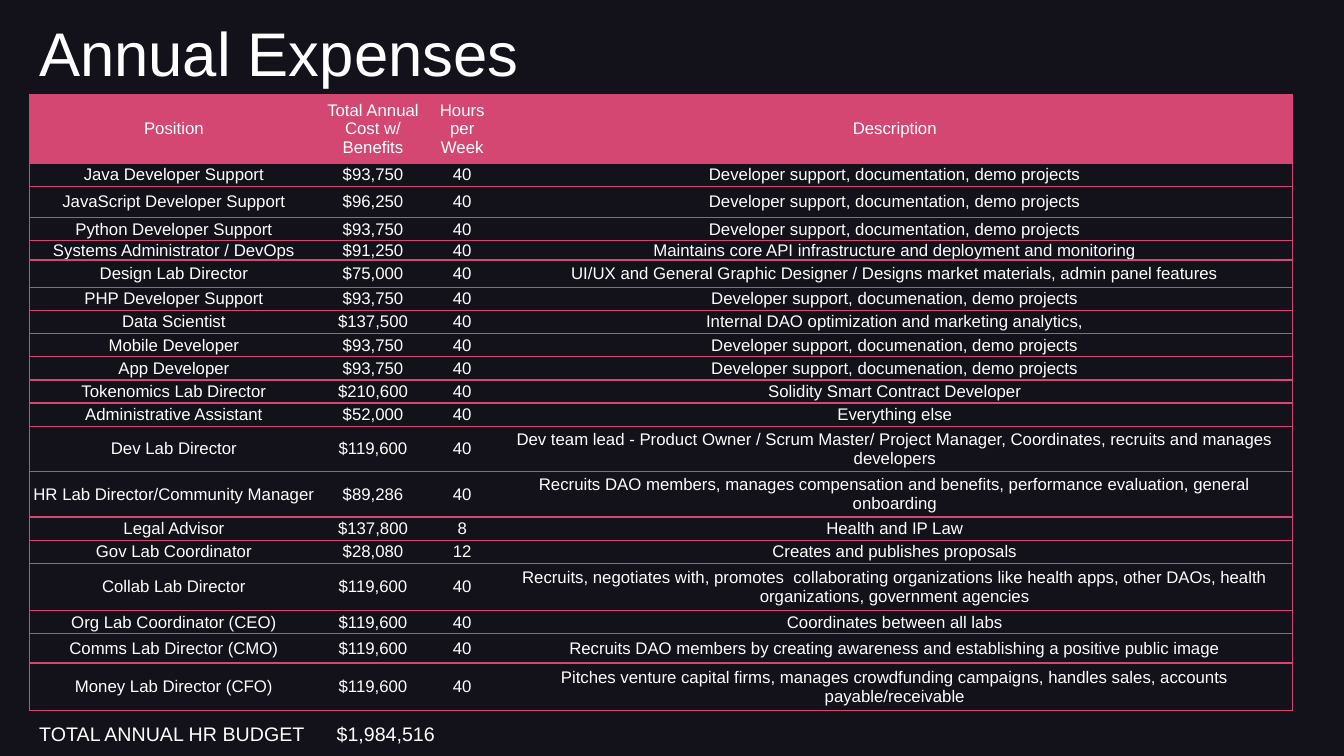
from lxml.etree import SubElement
from pptx import Presentation
from pptx.dml.color import RGBColor
from pptx.enum.text import MSO_ANCHOR, PP_ALIGN
from pptx.oxml.ns import qn
from pptx.util import Inches, Pt

NIGHT = RGBColor(0x13, 0x11, 0x1A)
PINK = RGBColor(0xD5, 0x47, 0x73)
WHITE = RGBColor(0xFF, 0xFF, 0xFF)
FONT = "Arial"
LEFT = 0.29

SUPPORT = "Developer support, documentation, demo projects"
SUPPORT_SHORT = "Developer support, documenation, demo projects"

# Row height, then position, cost, weekly hours and description
COLUMN_WIDTHS = [2.87, 1.08, 0.69, 7.89]
ROWS = [
    (0.68, "Position", "Total Annual Cost w/ Benefits", "Hours per Week", "Description"),
    (0.23, "Java Developer Support", "$93,750", "40", SUPPORT),
    (0.31, "JavaScript Developer Support", "$96,250", "40", SUPPORT),
    (0.23, "Python Developer Support", "$93,750", "40", SUPPORT),
    (0.19, "Systems Administrator / DevOps", "$91,250", "40",
     "Maintains core API infrastructure and deployment and monitoring"),
    (0.27, "Design Lab Director", "$75,000", "40",
     "UI/UX and General Graphic Designer / Designs market materials, admin panel features"),
    (0.23, "PHP Developer Support", "$93,750", "40", SUPPORT_SHORT),
    (0.23, "Data Scientist", "$137,500", "40",
     "Internal DAO optimization and marketing analytics,"),
    (0.23, "Mobile Developer", "$93,750", "40", SUPPORT_SHORT),
    (0.23, "App Developer", "$93,750", "40", SUPPORT_SHORT),
    (0.23, "Tokenomics Lab Director", "$210,600", "40", "Solidity Smart Contract Developer"),
    (0.23, "Administrative Assistant", "$52,000", "40", "Everything else"),
    (0.45, "Dev Lab Director", "$119,600", "40",
     "Dev team lead - Product Owner / Scrum Master/ Project Manager, "
     "Coordinates, recruits and manages developers"),
    (0.45, "HR Lab Director/Community Manager", "$89,286", "40",
     "Recruits DAO members, manages compensation and benefits, "
     "performance evaluation, general onboarding"),
    (0.23, "Legal Advisor", "$137,800", "8", "Health and IP Law"),
    (0.23, "Gov Lab Coordinator", "$28,080", "12", "Creates and publishes proposals"),
    (0.47, "Collab Lab Director", "$119,600", "40",
     "Recruits, negotiates with, promotes  collaborating organizations like health apps, "
     "other DAOs, health organizations, government agencies"),
    (0.23, "Org Lab Coordinator (CEO)", "$119,600", "40", "Coordinates between all labs"),
    (0.29, "Comms Lab Director (CMO)", "$119,600", "40",
     "Recruits DAO members by creating awareness and establishing a positive public image"),
    (0.47, "Money Lab Director (CFO)", "$119,600", "40",
     "Pitches venture capital firms, manages crowdfunding campaigns, handles sales, "
     "accounts payable/receivable"),
]


def set_font(paragraph, size):
    paragraph.font.name = FONT
    paragraph.font.size = Pt(size)
    paragraph.font.color.rgb = WHITE


def add_border(cell, side, visible):
    line = SubElement(cell._tc.get_or_add_tcPr(), qn(f"a:ln{side}"), w=str(Pt(1)))
    if visible:
        fill = SubElement(line, qn("a:solidFill"))
        SubElement(fill, qn("a:srgbClr"), val=str(PINK))
    else:
        SubElement(line, qn("a:noFill"))


presentation = Presentation()
presentation.slide_width = Inches(13.33)
presentation.slide_height = Inches(7.5)
slide = presentation.slides.add_slide(presentation.slide_layouts[6])
slide.background.fill.solid()
slide.background.fill.fore_color.rgb = NIGHT

# Expense table
table = slide.shapes.add_table(
    len(ROWS), len(COLUMN_WIDTHS), Inches(LEFT), Inches(0.94),
    Inches(sum(COLUMN_WIDTHS)), Inches(sum(row[0] for row in ROWS))).table
table.first_row = False
table.horz_banding = False
for column, width in zip(table.columns, COLUMN_WIDTHS):
    column.width = Inches(width)

last_column = len(COLUMN_WIDTHS) - 1
for row_index, (height, *texts) in enumerate(ROWS):
    table.rows[row_index].height = Inches(height)
    for column_index, text in enumerate(texts):
        cell = table.cell(row_index, column_index)
        cell.margin_left = cell.margin_right = cell.margin_top = cell.margin_bottom = 0
        cell.vertical_anchor = MSO_ANCHOR.MIDDLE
        cell.text = text
        paragraph = cell.text_frame.paragraphs[0]
        paragraph.alignment = PP_ALIGN.CENTER
        set_font(paragraph, 12)
        # Rules between rows and around the table, none between columns
        add_border(cell, "L", column_index == 0)
        add_border(cell, "R", column_index == last_column)
        add_border(cell, "T", True)
        add_border(cell, "B", True)
        if row_index == 0:
            cell.fill.solid()
            cell.fill.fore_color.rgb = PINK
        else:
            cell.fill.background()

# Title above the table and budget total below it
for top, width, height, size, text in [
    (0.1, 7.82, 0.84, 44, "Annual Expenses"),
    (7.11, 6.12, 0.34, 14, "TOTAL ANNUAL HR BUDGET\t$1,984,516"),
]:
    box = slide.shapes.add_textbox(Inches(LEFT), Inches(top), Inches(width), Inches(height))
    box.text_frame.word_wrap = True
    paragraph = box.text_frame.paragraphs[0]
    paragraph.text = text
    if "\t" in text:
        tabs = SubElement(paragraph._p.get_or_add_pPr(), qn("a:tabLst"))
        SubElement(tabs, qn("a:tab"), pos=str(Inches(2.95)), algn="l")
    set_font(paragraph, size)

presentation.save("out.pptx")
